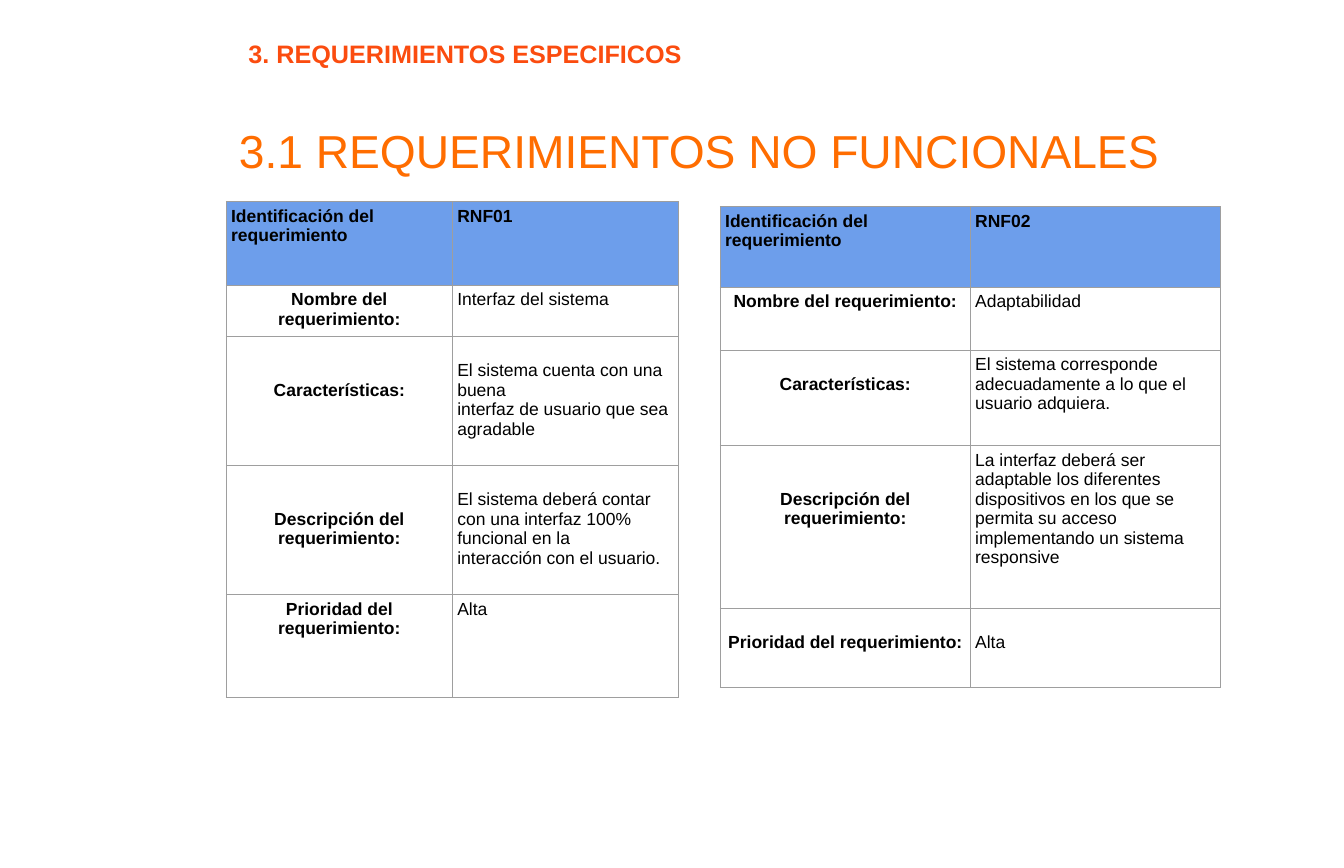
from dataclasses import dataclass

from lxml.etree import fromstring
from pptx import Presentation
from pptx.dml.color import RGBColor as Rgb
from pptx.enum.text import MSO_ANCHOR as Anchor, MSO_AUTO_SIZE as AutoSize, PP_ALIGN as Align
from pptx.util import Cm, Pt

TITLE = ("3.1 REQUERIMIENTOS NO FUNCIONALES", (9.7, 5.97, 51.08, 3.23))
SECTION = ("3. REQUERIMIENTOS ESPECIFICOS", (12.32, 1.75, 23.24, 1.93))

LABELS = [
    "Identificación del requerimiento",
    "Nombre del requerimiento:",
    "Características:",
    "Descripción del requerimiento:",
    "Prioridad del requerimiento:",
]

REQUIREMENTS = [
    {
        "position": (11.4, 10.16),
        "column_width": 11.4,
        "row_heights": [4.19, 2.39, 6.5, 6.5, 5.16],
        "label_drops": [0, 0, 2, 2, 0],
        "value_drops": [0, 0, 1, 1, 0],
        "values": [
            ["RNF01"],
            ["Interfaz del sistema"],
            ["El sistema cuenta con una buena", "interfaz de usuario que sea", "agradable"],
            ["El sistema deberá contar con una interfaz 100% funcional en la",
             "interacción con el usuario."],
            ["Alta"],
        ],
    },
    {
        "position": (36.3, 10.41),
        "column_width": 12.6,
        "row_heights": [4.06, 3.18, 4.8, 8.18, 4.01],
        "label_drops": [0, 0, 1, 2, 1],
        "value_drops": [0, 0, 0, 0, 1],
        "values": [
            ["RNF02"],
            ["Adaptabilidad"],
            ["El sistema corresponde", "adecuadamente a lo que el", "usuario adquiera."],
            ["La interfaz deberá ser adaptable los diferentes dispositivos en los que se "
             "permita su acceso implementando un sistema responsive"],
            ["Alta"],
        ],
    },
]


@dataclass(frozen=True)
class Theme:
    font: str = "Arial"
    title_color: str = "FF6D00"
    section_color: str = "FB4C0F"
    text_color: str = "000000"
    header_fill: str = "6D9EEB"
    border_color: str = "9E9E9E"
    title_size: float = 66
    section_size: float = 36
    cell_size: float = 25
    border_width: float = 0.75
    box_margin: float = 0.2
    cell_margin: float = 0.25
    line_height: float = 0.98


THEME = Theme()
DRAWING_NS = "http://schemas.openxmlformats.org/drawingml/2006/main"


def style_paragraph(paragraph, size, color, bold, align):
    paragraph.alignment = align
    font = paragraph.font
    font.name, font.size, font.bold = THEME.font, Pt(size), bold
    font.color.rgb = Rgb.from_string(color)


def set_margins(holder, margin, drop=0):
    holder.margin_left = holder.margin_right = holder.margin_bottom = Cm(margin)
    holder.margin_top = Cm(margin + drop)


def add_heading(slide, content, size, color, bold, align):
    text, box = content
    frame = slide.shapes.add_textbox(*map(Cm, box)).text_frame
    frame.word_wrap = True
    frame.auto_size = AutoSize.SHAPE_TO_FIT_TEXT
    frame.vertical_anchor = Anchor.MIDDLE
    set_margins(frame, THEME.box_margin)
    frame.text = text
    style_paragraph(frame.paragraphs[0], size, color, bold, align)


def add_borders(cell):
    properties = cell._tc.get_or_add_tcPr()
    for index, side in enumerate("LRTB"):
        properties.insert(index, fromstring(
            f'<a:ln{side} xmlns:a="{DRAWING_NS}" w="{Pt(THEME.border_width)}"><a:solidFill>'
            f'<a:srgbClr val="{THEME.border_color}"/></a:solidFill></a:ln{side}>'))


def fill_cell(cell, lines, drop, bold, align, header):
    set_margins(cell, THEME.cell_margin, drop * THEME.line_height)
    cell.vertical_anchor = Anchor.TOP
    if header:
        cell.fill.solid()
        cell.fill.fore_color.rgb = Rgb.from_string(THEME.header_fill)
    else:
        cell.fill.background()
    add_borders(cell)
    cell.text = "\n".join(lines)
    for paragraph in cell.text_frame.paragraphs:
        style_paragraph(paragraph, THEME.cell_size, THEME.text_color, bold, align)


def add_requirement(slide, requirement):
    heights, width = requirement["row_heights"], requirement["column_width"]
    left, top = requirement["position"]
    table = slide.shapes.add_table(
        len(heights), 2, Cm(left), Cm(top), Cm(2 * width), Cm(sum(heights))).table
    table.first_row = table.horz_banding = False
    for column in table.columns:
        column.width = Cm(width)
    rows = zip(heights, LABELS, requirement["values"],
               requirement["label_drops"], requirement["value_drops"])
    for index, (height, label, value, label_drop, value_drop) in enumerate(rows):
        header = index == 0
        table.rows[index].height = Cm(height)
        label_align = Align.LEFT if header else Align.CENTER
        fill_cell(table.cell(index, 0), [label], label_drop, True, label_align, header)
        fill_cell(table.cell(index, 1), value, value_drop, header, Align.LEFT, header)


def main():
    presentation = Presentation()
    presentation.slide_width, presentation.slide_height = Cm(67.74), Cm(43.74)
    slide = presentation.slides.add_slide(presentation.slide_layouts[6])
    add_heading(slide, TITLE, THEME.title_size, THEME.title_color, False, Align.CENTER)
    add_heading(slide, SECTION, THEME.section_size, THEME.section_color, True, Align.LEFT)
    for requirement in REQUIREMENTS:
        add_requirement(slide, requirement)
    presentation.save("out.pptx")


if __name__ == "__main__":
    main()
